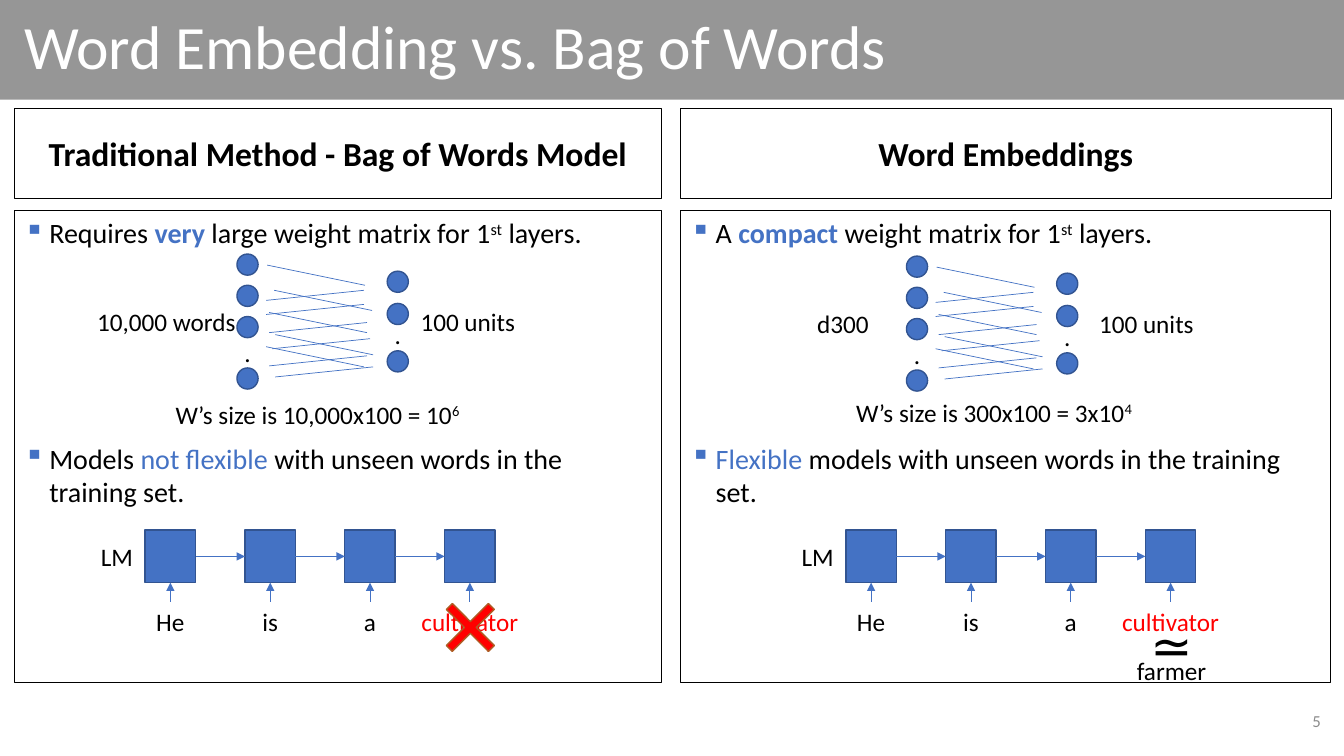
import pptx
import pptx.dml.color
import pptx.enum.shapes
import pptx.enum.text
import pptx.oxml
import pptx.oxml.ns
import pptx.util

SHAPE = pptx.enum.shapes.MSO_SHAPE
ALIGN = pptx.enum.text.PP_ALIGN
ANCHOR = pptx.enum.text.MSO_ANCHOR
INCH = pptx.util.Inches
POINT = pptx.util.Pt

BLUE, EDGE, BLACK, RED = "4472C4", "325491", "000000", "FF0000"
WIDTH, HEIGHT = 13.33, 7.5
TITLE = "Word Embedding vs. Bag of Words"
PAGE_NUMBER = "5"
TOKENS = [("He", BLACK), ("is", BLACK), ("a", BLACK), ("cultivator", RED)]
PANELS = [
    {
        "left": 0.14, "width": 6.42, "network": (2.35, 2.52), "chain": 1.44,
        "heading": "Traditional Method - Bag of Words Model",
        "bullets": [
            [("Requires ", ""), ("very", "blue bold"), (" large weight matrix for 1", ""),
             ("st", "super"), (" layers.", "")],
            [("Models ", ""), ("not flexible ", "blue"),
             ("with unseen words in the training set.", "")],
        ],
        "inputs": ("10,000 words", 1.65), "units": ("100 units", 4.64),
        "size": [("W’s size is 10,000x100 = 10", ""), ("6", "super")],
        "size_place": (3.15, 3.91),
    },
    {
        "left": 6.75, "width": 6.45, "network": (8.99, 2.54), "chain": 8.39,
        "heading": "Word Embeddings",
        "bullets": [
            [("A ", ""), ("compact", "blue bold"), (" weight matrix for 1", ""),
             ("st", "super"), (" layers.", "")],
            [("Flexible", "blue"), (" models with unseen words in the training set.", "")],
        ],
        "inputs": ("d300", 8.36), "units": ("100 units", 11.37),
        "size": [("W’s size is 300x100 = 3x10", ""), ("4", "super")],
        "size_place": (9.86, 3.89),
    },
]
NODE = 0.21
LAYERS = [(0, [0, 0.31, 0.62, 1.13], 0.78), (1.49, [0.17, 0.49, 0.96], 0.6)]
LINK_WIDTH = 0.97
LINKS = [
    (0.2, [(0.3, 0.11), (0.37, 0.36), (0.32, 0.58), (0.38, 0.8), (0.29, 0.92)]),
    (-0.1, [(0.38, 1.22), (0.32, 1.11), (0.35, 0.94), (0.32, 0.78), (0.29, 0.6), (0.29, 0.46)]),
]
CELL_WIDTH, CELL_HEIGHT, CELL_STEP, CELL_TOP, TOKEN_TOP = 0.5, 0.52, 0.99, 5.26, 5.97


def color(value):
    """Turn a hex string into a colour."""
    return pptx.dml.color.RGBColor.from_string(value)


def add_box(slide, kind, place, fill=None, line=None, weight=1):
    """Add a preset shape with a plain fill and outline."""
    shape = slide.shapes.add_shape(kind, *map(INCH, place))
    shape.shadow.inherit = False
    if fill:
        shape.fill.solid()
        shape.fill.fore_color.rgb = color(fill)
    else:
        shape.fill.background()
    if line:
        shape.line.color.rgb = color(line)
        shape.line.width = POINT(weight)
    else:
        shape.line.fill.background()
    return shape


def add_line(slide, start, end, arrow=False):
    """Add a thin blue line, with an arrowhead at its end if asked."""
    line = slide.shapes.add_connector(
        pptx.enum.shapes.MSO_CONNECTOR.STRAIGHT, *map(INCH, (*start, *end)))
    line.line.color.rgb = color(BLUE)
    line.line.width = POINT(0.5)
    properties = line._element.spPr
    if arrow:
        head = pptx.oxml.ns.qn("a:tailEnd")
        line.line._get_or_add_ln().makeelement(head, {"type": "triangle"})
        outline = line.line._get_or_add_ln()
        outline.append(outline.makeelement(head, {"type": "triangle"}))
    properties.append(properties.makeelement(pptx.oxml.ns.qn("a:effectLst"), {}))


def write(paragraph, runs, size, tint=BLACK, align=ALIGN.LEFT, bold=False):
    """Fill a paragraph with styled runs."""
    paragraph.alignment = align
    font = paragraph.font
    font.name, font.size, font.bold = "Calibri", POINT(size), bold
    font.color.rgb = color(tint)
    for text, style in runs:
        run = paragraph.add_run()
        run.text = text
        if "blue" in style:
            run.font.color.rgb = color(BLUE)
        if "bold" in style:
            run.font.bold = True
        if "super" in style:
            run.font._element.set("baseline", "30000")


def add_label(slide, runs, center, top, size=18, tint=BLACK, height=0.4):
    """Add a one-line label around a centre."""
    width = 3.2
    label = slide.shapes.add_textbox(*map(INCH, (center - width / 2, top, width, height)))
    label.text_frame.word_wrap = True
    write(label.text_frame.paragraphs[0], runs, size, tint, ALIGN.CENTER)


def add_bullet(paragraph):
    """Give a paragraph a blue square bullet with a hanging indent."""
    properties = paragraph._p.get_or_add_pPr()
    properties.set("marL", str(INCH(0.25)))
    properties.set("indent", str(-INCH(0.25)))
    namespace = pptx.oxml.ns.nsdecls("a")
    for xml in (f'<a:buClr {namespace}><a:srgbClr val="{BLUE}"/></a:buClr>',
                f'<a:buChar {namespace} char="▪"/>'):
        properties.append(pptx.oxml.parse_xml(xml))


def add_frames(slide, panel):
    """Draw the heading and the bulleted body of a panel."""
    left, width = panel["left"], panel["width"]
    heading = add_box(slide, SHAPE.RECTANGLE, (left, 1.07, width, 0.9), None, BLACK, 0.25)
    heading.text_frame.word_wrap = True
    heading.text_frame.vertical_anchor = ANCHOR.MIDDLE
    write(heading.text_frame.paragraphs[0], [(panel["heading"], "")], 24,
          align=ALIGN.CENTER, bold=True)
    body = add_box(slide, SHAPE.RECTANGLE, (left, 2.09, width, 4.68), None, BLACK, 0.75)
    frame = body.text_frame
    frame.word_wrap = True
    frame.vertical_anchor = ANCHOR.TOP
    first, second = frame.paragraphs[0], frame.add_paragraph()
    second.space_before = POINT(131)
    for paragraph, runs in zip((first, second), panel["bullets"]):
        paragraph.space_after = POINT(6)
        add_bullet(paragraph)
        write(paragraph, runs, 20)


def add_network(slide, panel):
    """Draw the two layers of nodes with their links and labels."""
    left, top = panel["network"]
    for offset, rows, dot in LAYERS:
        for row in rows:
            add_box(slide, SHAPE.OVAL, (left + offset, top + row, NODE, NODE), BLUE, EDGE)
        add_label(slide, [(".", "")], left + offset + NODE / 2, top + dot)
    for rise, starts in LINKS:
        for x, y in starts:
            add_line(slide, (left + x, top + y), (left + x + LINK_WIDTH, top + y + rise))
    for text, center in (panel["inputs"], panel["units"]):
        add_label(slide, [(text, "")], center, top + 0.47)
    add_label(slide, panel["size"], *panel["size_place"])


def add_chain(slide, left):
    """Draw the language model cells with their tokens and arrows."""
    add_label(slide, [("LM", "")], left - 0.28, 5.32)
    for index, (token, tint) in enumerate(TOKENS):
        x = left + index * CELL_STEP
        center, middle = x + CELL_WIDTH / 2, CELL_TOP + CELL_HEIGHT / 2
        add_box(slide, SHAPE.RECTANGLE, (x, CELL_TOP, CELL_WIDTH, CELL_HEIGHT), BLUE, EDGE)
        if index:
            add_line(slide, (x - CELL_STEP + CELL_WIDTH, middle), (x, middle), True)
        add_line(slide, (center, TOKEN_TOP), (center, CELL_TOP + CELL_HEIGHT), True)
        add_label(slide, [(token, "")], center, TOKEN_TOP, tint=tint)


def main():
    """Build the slide and save it."""
    presentation = pptx.Presentation()
    presentation.slide_width, presentation.slide_height = INCH(WIDTH), INCH(HEIGHT)
    slide = presentation.slides.add_slide(presentation.slide_layouts[6])
    add_box(slide, SHAPE.RECTANGLE, (0, -0.01, WIDTH, 1), "969696")
    for text, place, size, tint, align in (
            (TITLE, (0.14, 0.03, 13.06, 0.92), 44, "FFFFFF", ALIGN.LEFT),
            (PAGE_NUMBER, (10.2, 6.95, 3, 0.4), 12, "8C8C8C", ALIGN.RIGHT)):
        frame = slide.shapes.add_textbox(*map(INCH, place)).text_frame
        frame.word_wrap = True
        frame.vertical_anchor = ANCHOR.MIDDLE
        frame.paragraphs[0].line_spacing = 0.9 if text == TITLE else 1.0
        write(frame.paragraphs[0], [(text, "")], size, tint, align)
    for panel in PANELS:
        add_frames(slide, panel)
        add_network(slide, panel)
        add_chain(slide, panel["chain"])
    cross = add_box(slide, SHAPE.CROSS, (4.37, 5.93, 0.59, 0.59), RED, "AF5C24")
    cross.adjustments[0] = 0.43
    cross.rotation = 45
    add_label(slide, [("≃", "")], 11.62, 6.04, size=36, height=0.71)
    add_label(slide, [("farmer", "")], 11.62, 6.45)
    presentation.save("out.pptx")


if __name__ == "__main__":
    main()
